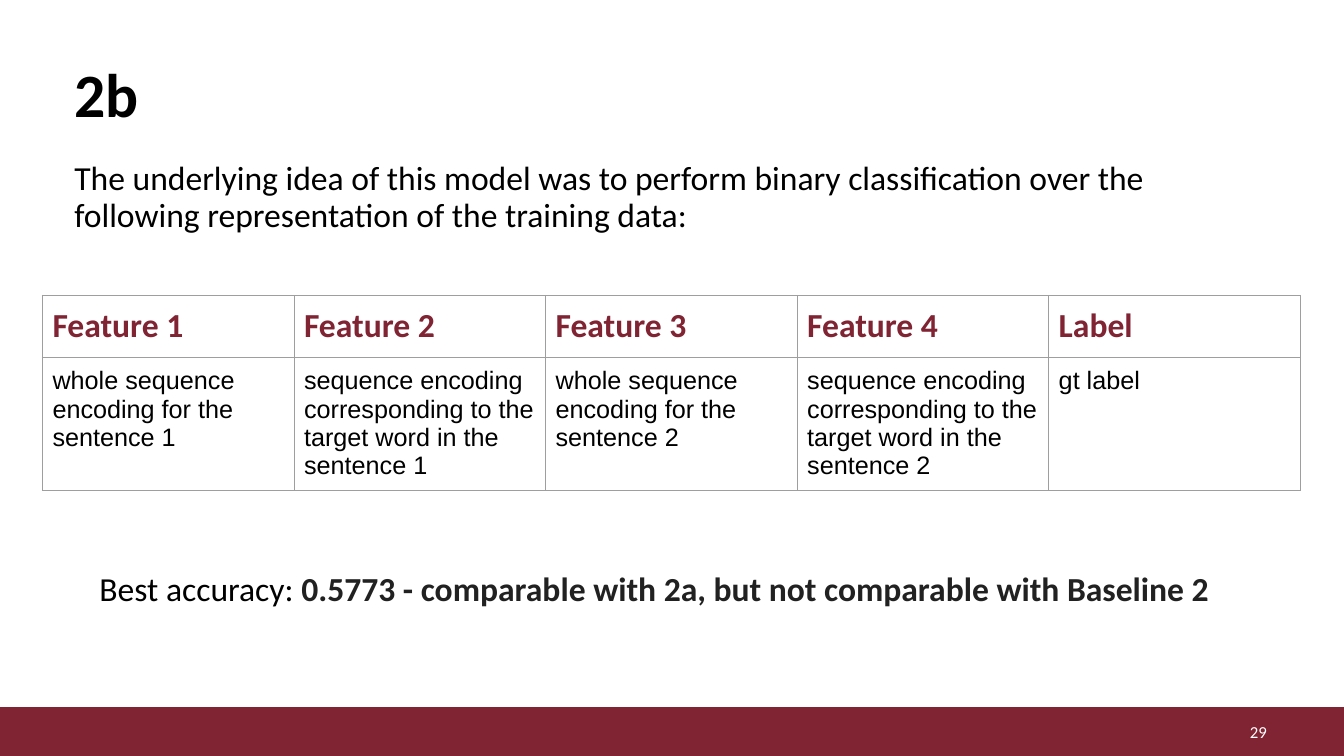
from dataclasses import dataclass

from lxml import etree
from pptx import Presentation
from pptx import util as u
from pptx.dml.color import RGBColor
from pptx.enum import shapes, text
from pptx.oxml import ns


@dataclass(frozen=True)
class Theme:
    maroon: str = "802433"
    black: str = "000000"
    dark: str = "212121"
    white: str = "FFFFFF"
    grid: str = "9E9E9E"
    heading_font: str = "Calibri"
    cell_font: str = "Arial"
    title_size: float = 44
    body_size: float = 24
    cell_size: float = 18
    number_size: float = 12


THEME = Theme()
HEADERS = ["Feature 1", "Feature 2", "Feature 3", "Feature 4", "Label"]
REPRESENTATION = [
    "whole sequence encoding for the sentence 1",
    "sequence encoding corresponding to the target word in the sentence 1",
    "whole sequence encoding for the sentence 2",
    "sequence encoding corresponding to the target word in the sentence 2",
    "gt label",
]


def style_run(r, size, color, bold=False, font=THEME.heading_font):
    r.font.name = font
    r.font.size = u.Pt(size)
    r.font.bold = bold
    r.font.color.rgb = RGBColor.from_string(color)


def set_frame(tf, anchor):
    tf.word_wrap = True
    tf.auto_size = text.MSO_AUTO_SIZE.NONE
    tf.vertical_anchor = anchor
    tf.margin_left = tf.margin_right = u.Pt(7.2)
    tf.margin_top = tf.margin_bottom = u.Pt(3.6)


def add_title(s, box, title):
    sp = s.shapes.title
    sp.left, sp.top, sp.width, sp.height = map(u.Pt, box)
    set_frame(sp.text_frame, text.MSO_ANCHOR.MIDDLE)
    sp.text_frame.text = title
    p = sp.text_frame.paragraphs[0]
    p.alignment = text.PP_ALIGN.LEFT
    p.line_spacing = 0.9
    style_run(p.runs[0], THEME.title_size, THEME.black, bold=True)


def add_statement(s, box, lead, result=""):
    tf = s.shapes.add_textbox(*map(u.Pt, box)).text_frame
    set_frame(tf, text.MSO_ANCHOR.TOP)
    tf.text = lead
    p = tf.paragraphs[0]
    p.line_spacing = 0.9
    style_run(p.runs[0], THEME.body_size, THEME.black)
    if result:
        r = p.add_run()
        r.text = result
        style_run(r, THEME.body_size, THEME.dark, bold=True)


def add_borders(cell):
    tc_pr = cell._tc.get_or_add_tcPr()
    for position, side in enumerate(("a:lnL", "a:lnR", "a:lnT", "a:lnB")):
        line = etree.Element(ns.qn(side), w=str(u.Pt(0.75)))
        fill = etree.SubElement(line, ns.qn("a:solidFill"))
        etree.SubElement(fill, ns.qn("a:srgbClr"), val=THEME.grid)
        tc_pr.insert(position, line)


def add_feature_table(s, box, header_height):
    left, top, width, height = box
    table = s.shapes.add_table(2, len(HEADERS), *map(u.Pt, box)).table
    table.first_row = table.horz_banding = False
    for column in table.columns:
        column.width = u.Pt(width / len(HEADERS))
    table.rows[0].height = u.Pt(header_height)
    table.rows[1].height = u.Pt(height - header_height)
    styles = [
        (HEADERS, THEME.body_size, THEME.maroon, True, THEME.heading_font),
        (REPRESENTATION, THEME.cell_size, THEME.black, False, THEME.cell_font),
    ]
    for row, (labels, *style) in enumerate(styles):
        for col, label in enumerate(labels):
            cell = table.cell(row, col)
            cell.text = label
            cell.fill.background()
            cell.margin_left = cell.margin_right = u.Pt(7.2)
            cell.margin_top = cell.margin_bottom = u.Pt(7.2)
            style_run(cell.text_frame.paragraphs[0].runs[0], *style)
            add_borders(cell)


def add_footer(s, box, number):
    left, top, width, height = box
    bar = s.shapes.add_shape(shapes.MSO_SHAPE.RECTANGLE, *map(u.Pt, box))
    bar.shadow.inherit = False
    bar.fill.solid()
    bar.fill.fore_color.rgb = RGBColor.from_string(THEME.maroon)
    bar.line.color.rgb = RGBColor.from_string(THEME.maroon)
    bar.line.width = u.Pt(1)
    number_box = (left + width - 268, top + 3, 216, 28.8)
    tf = s.shapes.add_textbox(*map(u.Pt, number_box)).text_frame
    set_frame(tf, text.MSO_ANCHOR.MIDDLE)
    tf.text = number
    p = tf.paragraphs[0]
    p.alignment = text.PP_ALIGN.RIGHT
    style_run(p.runs[0], THEME.number_size, THEME.white)


def main():
    prs = Presentation()
    prs.slide_width, prs.slide_height = u.Pt(960), u.Pt(540)
    s = prs.slides.add_slide(prs.slide_layouts[5])
    add_footer(s, (-2, 505.5, 966, 34.5), "29")
    add_title(s, (46, 38, 868, 63), "2b")
    add_statement(
        s, (46, 112, 868, 64),
        "The underlying idea of this model was to perform binary classification "
        "over the following representation of the training data:")
    add_feature_table(s, (30.3, 211, 898.5, 139), header_height=44)
    add_statement(
        s, (64, 405.5, 850, 36), "Best accuracy: ",
        "0.5773 - comparable with 2a, but not comparable with Baseline 2")
    prs.save("out.pptx")


if __name__ == "__main__":
    main()
